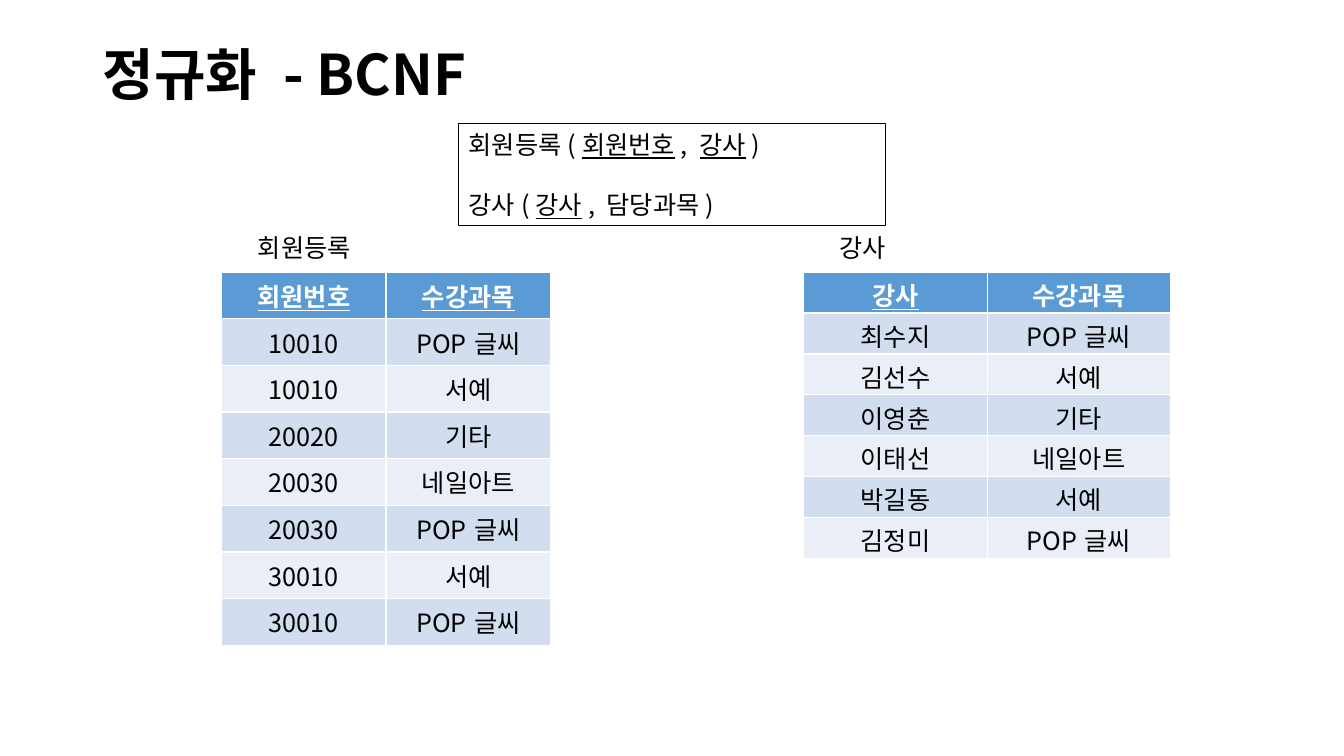
"""Build a slide on BCNF normalisation with a schema box and two tables."""
from lxml import etree
from pptx import Presentation
from pptx.dml.color import RGBColor
from pptx.enum.text import MSO_ANCHOR, PP_ALIGN
from pptx.oxml.ns import qn
from pptx.util import Inches, Pt

LEFT, CENTER, MIDDLE = PP_ALIGN.LEFT, PP_ALIGN.CENTER, MSO_ANCHOR.MIDDLE
BLACK = RGBColor(0x00, 0x00, 0x00)
WHITE = RGBColor(0xFF, 0xFF, 0xFF)
HEADER_BLUE = RGBColor(0x5B, 0x9B, 0xD5)
BANDS = [RGBColor(0xEA, 0xEF, 0xF7), RGBColor(0xD2, 0xDE, 0xEF)]
FONT = "Noto Sans CJK KR"

SCHEMA = [
    [("회원등록(", False), ("회원번호", True), (", ", False), ("강사", True), (")", False)],
    [("강사(", False), ("강사", True), (", 담당과목)", False)],
]
TABLES = [
    {
        "name": "회원등록", "left": 16.5, "width": 24.45, "label_width": 11.4,
        "row_height": 6.17, "margins": (0.05, 0.05), "keys": ["회원번호", "수강과목"],
        "rows": [("회원번호", "수강과목"), ("10010", "POP글씨"), ("10010", "서예"),
                 ("20020", "기타"), ("20030", "네일아트"), ("20030", "POP글씨"),
                 ("30010", "서예"), ("30010", "POP글씨")],
    },
    {
        "name": "강사", "left": 59.8, "width": 27.3, "label_width": 7.95,
        "row_height": 5.41, "margins": (0.04, 0), "keys": ["강사"],
        "rows": [("강사", "수강과목"), ("최수지", "POP글씨"), ("김선수", "서예"),
                 ("이영춘", "기타"), ("이태선", "네일아트"), ("박길동", "서예"),
                 ("김정미", "POP글씨")],
    },
]

deck = Presentation()
deck.slide_width, deck.slide_height = Inches(13.33), Inches(7.5)
page = deck.slides.add_slide(deck.slide_layouts[5])


def area(left, top, width, height):
    """Turn percentages of the slide into lengths."""
    across, down = deck.slide_width / 100, deck.slide_height / 100
    return int(left * across), int(top * down), int(width * across), int(height * down)


def write(para, spans, align=LEFT, size=18, color=BLACK, bold=False):
    """Fill a paragraph with (text, underlined) spans in one font."""
    para.alignment = align
    para.font.name, para.font.size, para.font.bold = FONT, Pt(size), bold
    para.font.color.rgb = color
    for text, underlined in spans:
        span = para.add_run()
        span.text = text
        if underlined:
            span.font.underline = True


title = page.shapes.title
title.left, title.top, title.width, title.height = area(6.9, 5.33, 86.25, 9.73)
title.text_frame.vertical_anchor = MIDDLE
title_para = title.text_frame.paragraphs[0]
title_para.line_spacing = 0.9
write(title_para, [("정규화 - BCNF", False)], size=40, bold=True)

for relation in TABLES:
    rows, left = relation["rows"], relation["left"]
    label = page.shapes.add_textbox(*area(left + 1.95, 30.13, relation["label_width"], 5.33))
    label.text_frame.word_wrap = True
    write(label.text_frame.paragraphs[0], [(relation["name"], False)])

    height = relation["row_height"] * len(rows)
    table = page.shapes.add_table(
        len(rows), len(rows[0]), *area(left, 36, relation["width"], height)).table
    for row, values in enumerate(rows):
        header = row == 0
        for column, value in enumerate(values):
            cell = table.cell(row, column)
            cell.margin_top, cell.margin_bottom = map(Inches, relation["margins"])
            cell.fill.solid()
            cell.fill.fore_color.rgb = HEADER_BLUE if header else BANDS[row % 2]
            write(cell.text_frame.paragraphs[0],
                  [(value, header and value in relation["keys"])],
                  CENTER, color=WHITE if header else BLACK, bold=header)

schema_box = page.shapes.add_textbox(*area(34.13, 16.4, 31.73, 13.47))
schema_box.line.color.rgb = BLACK
schema_box.line.width = Pt(0.75)
schema_frame = schema_box.text_frame
schema_frame.word_wrap = True
write(schema_frame.paragraphs[0], SCHEMA[0])
second_para = schema_frame.add_paragraph()
second_para.line_spacing = 2
write(second_para, SCHEMA[1])

for latin in list(page.element.iter(qn("a:latin"))):
    east_asian = etree.Element(qn("a:ea"), typeface=FONT)
    latin.addnext(east_asian)

deck.save("out.pptx")
